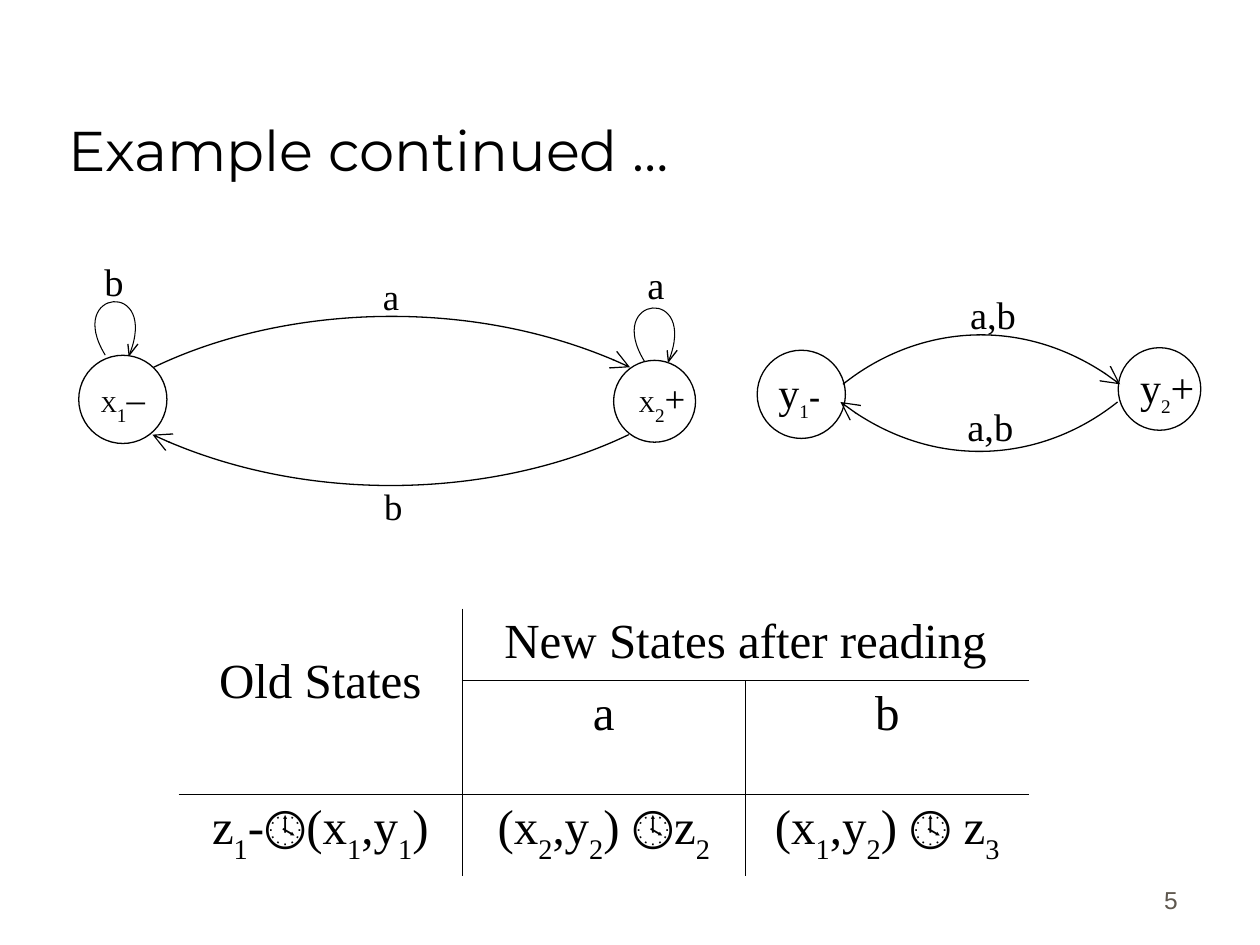
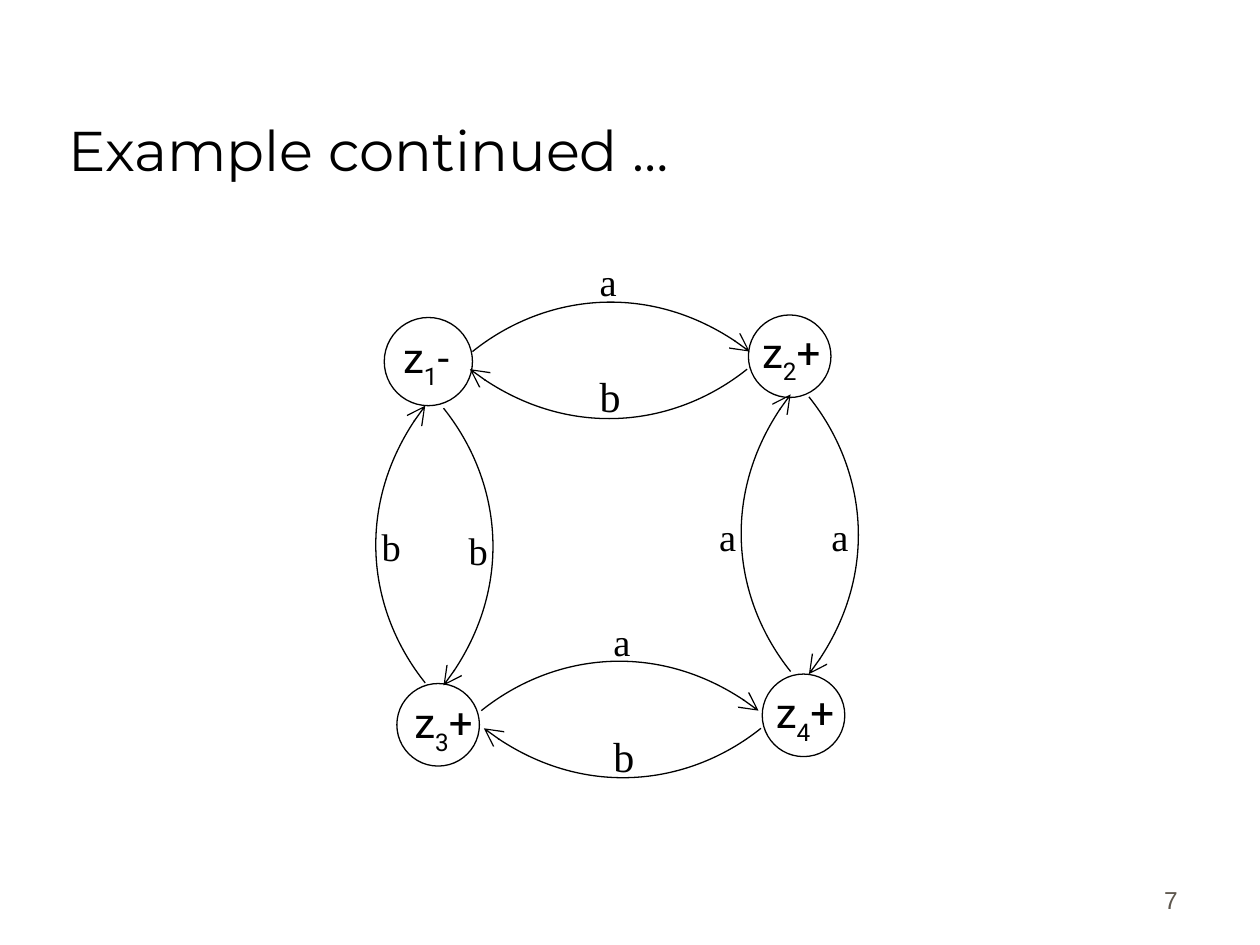
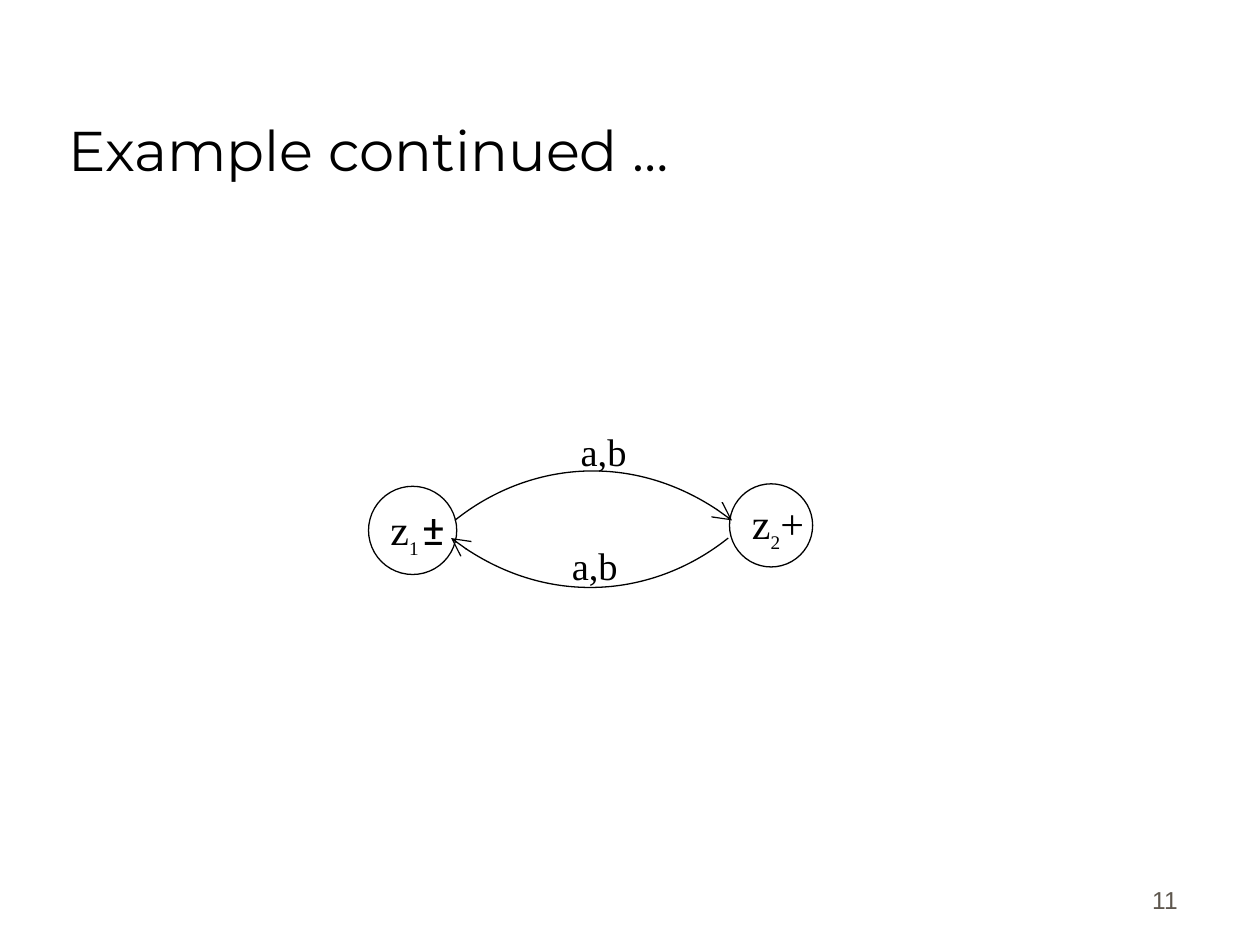
import pptx
import pptx.dml.color
import pptx.enum.shapes
import pptx.enum.text
import pptx.oxml
import pptx.oxml.ns
import pptx.util

BLACK = pptx.dml.color.RGBColor(0x00, 0x00, 0x00)
WHITE = pptx.dml.color.RGBColor(0xFF, 0xFF, 0xFF)
FOOTER_GREY = pptx.dml.color.RGBColor(0x5E, 0x57, 0x4E)
SERIF, SANS, TITLE_FONT, FOOTER_FONT = "Times New Roman", "Roboto", "Montserrat", "Arial"
ALIGN = pptx.enum.text.PP_ALIGN
ANCHOR = pptx.enum.text.MSO_ANCHOR
NAMESPACE = pptx.oxml.ns.nsdecls("a")

presentation = pptx.Presentation()
presentation.slide_width = pptx.util.Inches(10)
presentation.slide_height = pptx.util.Inches(7.5)

# The slide is a grid of 100 columns by 75 rows
COLUMN = presentation.slide_width / 100
ROW = presentation.slide_height / 75


def add_text(frame, runs, font=SERIF, color=BLACK, align=ALIGN.LEFT, anchor=ANCHOR.TOP):
    """Write runs of (text, size, style, own font); style is "", "sub" or "bold"."""
    frame.word_wrap = True
    frame.vertical_anchor = anchor
    paragraph = frame.paragraphs[0]
    paragraph.alignment = align
    for text, size, *extra in runs:
        style, own_font = extra + ["", font][len(extra):]
        run = paragraph.add_run()
        run.text = text
        run.font.size = pptx.util.Pt(size)
        run.font.name = own_font
        run.font.color.rgb = color
        run.font.bold = style == "bold"
        if style == "sub":
            run._r.get_or_add_rPr().set("baseline", "-30000")


def add_curve(slide, points, weight, rotation=0, arrow=False):
    """Draw one cubic curve through its start, two controls and end."""
    corners = [(x * COLUMN, y * ROW) for x, y in points]
    builder = slide.shapes.build_freeform(*corners[0], scale=1.0)
    builder.add_line_segments(corners[1:], close=False)
    shape = builder.convert_to_shape()
    segments = list(shape._element.iter(pptx.oxml.ns.qn("a:lnTo")))
    cubic = pptx.oxml.parse_xml(f"<a:cubicBezTo {NAMESPACE}/>")
    segments[0].addprevious(cubic)
    for segment in segments:
        cubic.append(segment[0])
        segment.getparent().remove(segment)
    shape.rotation = rotation
    shape.shadow.inherit = False
    shape.fill.background()
    shape.line.color.rgb = BLACK
    shape.line.width = pptx.util.Pt(weight)
    if arrow:
        shape.line._get_or_add_ln().append(pptx.oxml.parse_xml(
            f'<a:tailEnd {NAMESPACE} type="arrow" w="lg" len="lg"/>'))


# Contents: circles (left, top, diameter), arcs (start, end, depth),
# loops (start), state names and arc labels (left, top, width, height, runs)
DIAGRAMS = [
    {
        "number": "5",
        "circles": [(6.25, 28.2, 7), (48.7, 28.6, 6.5), (60.1, 27.8, 7), (88.75, 27.6, 6.55)],
        "arcs": [
            ((12.2, 29.15), (50, 29.15), 5.85), ((49.9, 34.5), (12.1, 34.5), 5.85),
            ((66.9, 30.5), (88.9, 30.5), 5.65), ((88.7, 31.9), (66.7, 31.9), 5.65),
        ],
        "loops": [(8.6, 28.2), (51.4, 28.7)],
        "texts": [
            (7, 29.3, 9.8, 5, [("X", 13), ("1", 19, "sub"), ("–", 21)]),
            (49.7, 29.3, 9.8, 5, [("X", 13), ("2", 19, "sub"), ("+", 21)]),
            (60.8, 28.6, 8, 4.5, [("y", 24), ("1", 19, "sub"), ("-", 19, "bold")]),
            (89.5, 28.2, 8, 4.5, [("y", 24), ("2", 19, "sub"), ("+", 24)]),
            (7.3, 20, 8.4, 5.6, [("b", 22)]),
            (50.4, 20.2, 8.4, 5.6, [("a", 22)]),
            (29.4, 21.25, 3.3, 3.3, [("a", 21)]),
            (29.5, 37.9, 3.9, 4.6, [("b", 21)]),
            (76, 22.6, 10.1, 4.1, [("a,b", 22)]),
            (75.8, 31.5, 10.1, 4.1, [("a,b", 22)]),
        ],
    },
    {
        "number": "7",
        "circles": [(30.5, 25.2, 7), (59.4, 25, 6.55), (31.5, 54.25, 6.55), (60.5, 53.5, 6.55)],
        "arcs": [
            ((37.5, 27.9), (59.5, 27.9), 5.65), ((59.3, 29.3), (37.3, 29.3), 5.65),
            ((38.2, 56.4), (60.2, 56.4), 5.65), ((60.4, 57.8), (38.4, 57.8), 5.65),
            ((33.75, 54.2), (33.75, 32.2), 5.65), ((35.2, 32.4), (35.2, 54.4), 5.65),
            ((62.75, 53.3), (62.75, 31.3), 5.65), ((64.2, 31.5), (64.2, 53.5), 5.65),
        ],
        "loops": [],
        "texts": [
            (left, top, width, 4.4,
             [("z", 24, "", SANS), (index, 24, "sub", SANS), (sign, 24, "", SANS)])
            for left, top, width, index, sign in [
                (31, 25.8, 6.9, "1", "-"), (59.5, 25.4, 11.9, "2", "+"),
                (31.9, 54.8, 10.4, "3", "+"), (60.6, 54, 8.6, "4", "+")]
        ] + [
            (left, top, 4.1, 4, [(letter, size)])
            for left, top, letter, size in [
                (46.6, 20, "a", 22), (46.6, 28.9, "b", 24), (47.7, 48.55, "a", 22),
                (47.7, 57.45, "b", 24), (29.3, 41.05, "b", 22), (36.2, 41.3, "b", 22),
                (56.1, 40.2, "a", 22), (65, 40.2, "a", 22)]
        ],
    },
    {
        "number": "11",
        "circles": [(29.25, 38.6, 7), (57.9, 38.4, 6.6)],
        "arcs": [((36.1, 41.3), (58.1, 41.3), 5.65), ((57.8, 42.7), (35.8, 42.7), 5.65)],
        "loops": [],
        "texts": [
            (30, 39.5, 8, 4.5, [("z", 24), ("1", 19, "sub"), (" ", 13, "sub"), ("±", 24, "", SANS)]),
            (58.7, 39, 8, 4.6, [("z", 24), ("2", 19, "sub"), ("+", 24)]),
            (45.1, 33.45, 10.1, 4.1, [("a,b", 22)]),
            (44.4, 42.5, 10.1, 4.1, [("a,b", 22)]),
        ],
    },
]

for diagram in DIAGRAMS:
    slide = presentation.slides.add_slide(presentation.slide_layouts[6])

    # Title and slide number
    title = slide.shapes.add_textbox(
        round(4.45 * COLUMN), round(2.5 * ROW), round(85 * COLUMN), round(12.5 * ROW))
    add_text(title.text_frame, [("Example continued …", 32)], TITLE_FONT, anchor=ANCHOR.BOTTOM)
    footer = slide.shapes.add_textbox(
        round(73.65 * COLUMN), round(68.1 * ROW), round(20.8 * COLUMN), round(5 * ROW))
    add_text(footer.text_frame, [(diagram["number"], 14)], FOOTER_FONT, FOOTER_GREY,
             ALIGN.RIGHT, ANCHOR.BOTTOM)

    # State circles
    for left, top, diameter in diagram["circles"]:
        circle = slide.shapes.add_shape(
            pptx.enum.shapes.MSO_SHAPE.OVAL, round(left * COLUMN), round(top * ROW),
            round(diameter * COLUMN), round(diameter * ROW))
        circle.shadow.inherit = False
        circle.fill.solid()
        circle.fill.fore_color.rgb = WHITE
        circle.line.color.rgb = BLACK
        circle.line.width = pptx.util.Pt(0.75)

    # Transitions bulge to the left of their direction of travel
    for (x, y), (end_x, end_y), depth in diagram["arcs"]:
        run_x, run_y = end_x - x, end_y - y
        length = abs(run_x) + abs(run_y)
        side_x, side_y = run_y / length * depth, -run_x / length * depth
        controls = [(x + share * run_x + lift * side_x, y + share * run_y + lift * side_y)
                    for share, lift in ((0.26, 0.81), (0.67, 1))]
        add_curve(slide, [(x, y), *controls, (end_x, end_y)], 0.75, arrow=True)

    # Loops back to the same state, with small open tips
    for x, y in diagram["loops"]:
        add_curve(slide, [(x, y), (x - 3.65, y - 5), (x + 3.85, y - 6.35), (x + 1.9, y - 0.15)],
                  0.6, rotation=4.5)
        tip_x = x + 1.65
        for barb_x in (tip_x - 0.1, tip_x + 0.7):
            barb = slide.shapes.add_connector(
                pptx.enum.shapes.MSO_CONNECTOR.STRAIGHT, round(barb_x * COLUMN),
                round((y - 0.9) * ROW), round(tip_x * COLUMN), round(y * ROW))
            barb.line.color.rgb = BLACK
            barb.line.width = pptx.util.Pt(0.75)
            barb._element.spPr.append(pptx.oxml.parse_xml(f"<a:effectLst {NAMESPACE}/>"))

    # State names and transition labels
    for left, top, width, height, runs in diagram["texts"]:
        label = slide.shapes.add_textbox(
            round(left * COLUMN), round(top * ROW), round(width * COLUMN), round(height * ROW))
        add_text(label.text_frame, runs)

# Transition table on the first slide
table = presentation.slides[0].shapes.add_table(
    3, 3, round(14.17 * COLUMN), round(48.3 * ROW), round(67.5 * COLUMN), round(21.25 * ROW)).table
table.first_row = False
table.horz_banding = False
for table_column in table.columns:
    table_column.width = round(22.5 * COLUMN)
for table_row, height in zip(table.rows, (5.7, 9.05, 6.5)):
    table_row.height = round(height * ROW)
table.cell(0, 0).merge(table.cell(1, 0))
table.cell(0, 1).merge(table.cell(0, 2))

# Subscripts are the digits inside each entry
ENTRIES = {
    (0, 0): "Old States", (0, 1): "New States after reading",
    (1, 1): "a", (1, 2): "b",
    (2, 0): "z|1|-🕓(x|1|,y|1|)",
    (2, 1): "(x|2|,y|2|) 🕓z|2",
    (2, 2): "(x|1|,y|2|) 🕓 z|3",
}
for (row, column), entry in ENTRIES.items():
    add_text(table.cell(row, column).text_frame,
             [(part, 28, "sub" if part.isdigit() else "") for part in entry.split("|")],
             align=ALIGN.CENTER)
table.cell(0, 0).margin_top = round(3.65 * ROW)

# Only the inner rules of the table are drawn
for row in range(3):
    for column in range(3):
        cell = table.cell(row, column)
        edges = {
            "lnL": column == 1 or (column == 2 and row > 0),
            "lnR": column == 0 or (column == 1 and row > 0),
            "lnT": row > 0,
            "lnB": row < 2,
        }
        for edge, drawn in edges.items():
            paint = f'<a:solidFill><a:srgbClr val="{BLACK}"/></a:solidFill>' if drawn else "<a:noFill/>"
            cell._tc.get_or_add_tcPr().append(pptx.oxml.parse_xml(
                f'<a:{edge} {NAMESPACE} w="{pptx.util.Pt(0.45)}">{paint}</a:{edge}>'))
        cell.fill.background()

presentation.save("out.pptx")
